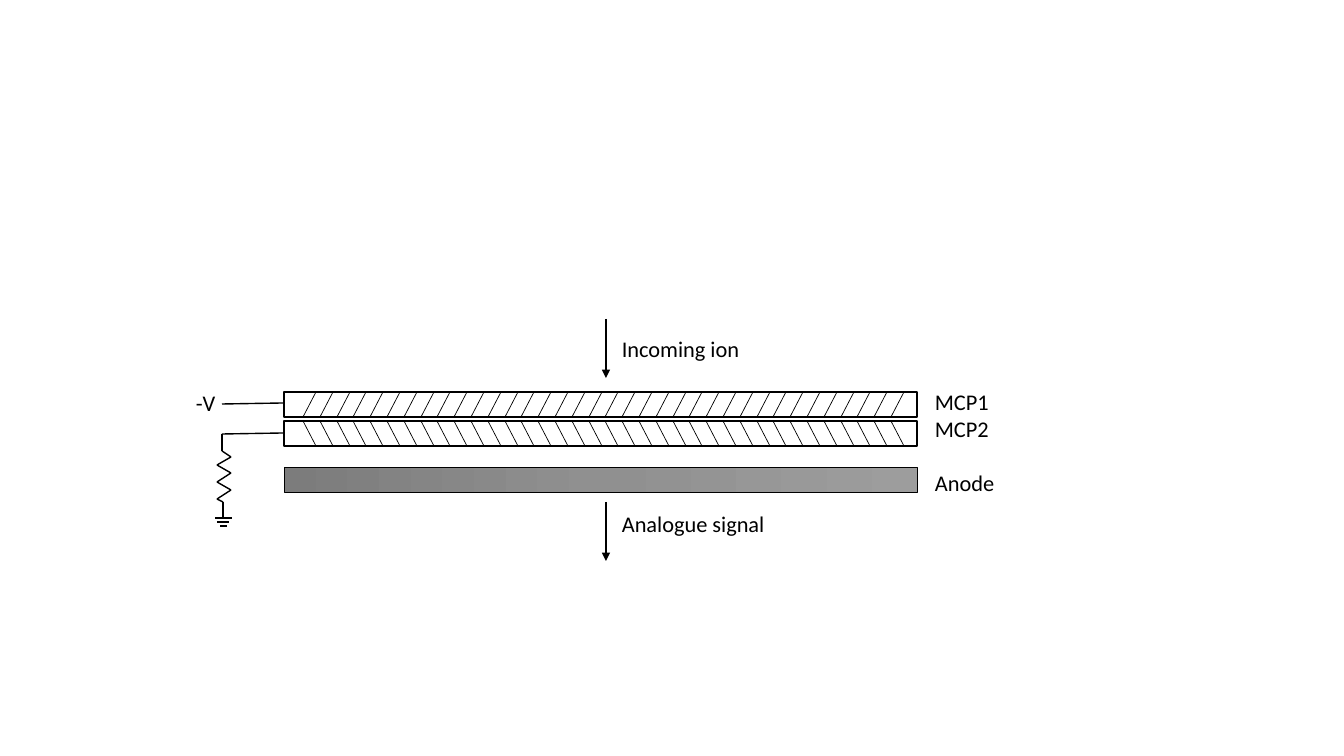
from copy import deepcopy
from itertools import pairwise
from typing import NamedTuple

from pptx import Presentation
from pptx.dml.color import RGBColor
from pptx.enum.shapes import MSO_CONNECTOR, MSO_SHAPE
from pptx.enum.text import MSO_AUTO_SIZE as AutoSize
from pptx.oxml.ns import qn
from pptx.oxml.xmlchemy import OxmlElement
from pptx.shapes.autoshape import Shape
from pptx.shapes.shapetree import _BaseGroupShapes as Shapes
from pptx.util import Emu, Pt

EMU_PER_PX = 914400 / 100.8
BLACK = RGBColor(0, 0, 0)
WHITE = RGBColor(0xFF, 0xFF, 0xFF)
ANODE_GREYS = (RGBColor(0x7C, 0x7C, 0x7C), RGBColor(0x90, 0x90, 0x90),
               RGBColor(0x9D, 0x9D, 0x9D))

# The two plates and the anode share one left edge, width and height.
PLATE_LEFT, PLATE_WIDTH, PLATE_HEIGHT = 284, 633, 25
CHANNELS, CHANNEL_START, CHANNEL_PITCH, CHANNEL_LEAN = 36, 316, 16.8, 13


class Plate(NamedTuple):
    """A microchannel plate; its channels lean to the left going down or up."""
    top: int
    leans_down: bool


class Wire(NamedTuple):
    """A straight line between two points."""
    x1: int
    y1: int
    x2: int
    y2: int


class Label(NamedTuple):
    """A text box with its lines and the space in points above each."""
    left: int
    top: int
    width: int
    height: int
    lines: tuple[str, ...]
    gaps: tuple[float, ...] = (0,)
    wrap: bool = True


PLATES = (Plate(392, True), Plate(421, False))
ANODE_TOP = 467
SIGNAL_ARROWS = (Wire(606, 319, 606, 378), Wire(606, 502, 606, 561))
RESISTOR_POINTS = ((222, 451), (231, 457), (217, 465), (231, 473),
                   (217, 482), (231, 490), (217, 499), (223, 502))
CIRCUIT = (
    Wire(284, 403, 222, 404),  # supply to first plate
    Wire(284, 433, 222, 434),  # second plate to resistor
    Wire(222, 434, 222, 451),
    Wire(223, 502, 223, 518),  # resistor to ground
    Wire(232, 518, 215, 518),  # ground bars
    Wire(229, 522, 217, 522),
    Wire(227, 526, 220, 526),
)
LABELS = (
    Label(925, 383, 81, 119, ("MCP1", "MCP2", "Anode"), (0, 0, 19.5), False),
    Label(612, 330, 202, 37, ("Incoming ion",)),
    Label(612, 505, 202, 37, ("Analogue signal",)),
    Label(186, 384, 40, 37, ("-V",)),
)


def px(length: float) -> Emu:
    """Turn a length in pixels into EMU."""
    return Emu(round(length * EMU_PER_PX))


def draw_wire(shapes: Shapes, wire: Wire, *, width: float = 1,
              arrow: bool = False) -> None:
    """Draw a black line, with a triangle at its end if asked."""
    line = shapes.add_connector(MSO_CONNECTOR.STRAIGHT, *map(px, wire))
    line.line.color.rgb = BLACK
    line.line.width = Pt(width)
    if arrow:
        head = OxmlElement("a:tailEnd")
        head.set("type", "triangle")
        line.line._get_or_add_ln().append(head)
    line._element.spPr.append(OxmlElement("a:effectLst"))


def draw_bar(shapes: Shapes, top: int, *, line_width: float) -> Shape:
    """Draw a white outlined bar of the common plate size."""
    bar = shapes.add_shape(MSO_SHAPE.RECTANGLE, px(PLATE_LEFT), px(top),
                           px(PLATE_WIDTH), px(PLATE_HEIGHT))
    bar.shadow.inherit = False
    bar.fill.solid()
    bar.fill.fore_color.rgb = WHITE
    bar.line.color.rgb = BLACK
    bar.line.width = Pt(line_width)
    return bar


def draw_plate(shapes: Shapes, plate: Plate) -> None:
    """Draw a plate grouped with its evenly spaced slanted channels."""
    group = shapes.add_group_shape().shapes
    draw_bar(group, plate.top, line_width=1)
    start, end = plate.top, plate.top + PLATE_HEIGHT
    if not plate.leans_down:
        start, end = end, start
    for index in range(CHANNELS):
        x = round(CHANNEL_START + index * CHANNEL_PITCH)
        draw_wire(group, Wire(x, start, x - CHANNEL_LEAN, end), width=0.5)


def draw_anode(shapes: Shapes) -> None:
    """Draw the anode with a grey gradient from left to right."""
    anode = draw_bar(shapes, ANODE_TOP, line_width=0.5)
    anode.fill.gradient()
    anode.fill.gradient_angle = 0
    stop_list = anode._element.spPr.find(qn("a:gradFill")).find(qn("a:gsLst"))
    stop_list.insert(1, deepcopy(stop_list[0]))
    for index, (stop, grey) in enumerate(
            zip(anode.fill.gradient_stops, ANODE_GREYS)):
        stop.color.rgb = grey
        stop.position = index / 2


def draw_resistor(shapes: Shapes) -> None:
    """Draw the zigzag resistor as one group."""
    group = shapes.add_group_shape().shapes
    for start, end in pairwise(RESISTOR_POINTS):
        draw_wire(group, Wire(*start, *end))


def draw_label(shapes: Shapes, label: Label, *, size: float = 16,
               font: str = "Calibri", color: RGBColor = BLACK) -> None:
    """Write the lines of a label as paragraphs of one text box."""
    box = shapes.add_textbox(px(label.left), px(label.top),
                             px(label.width), px(label.height))
    frame = box.text_frame
    frame.word_wrap = label.wrap
    frame.auto_size = AutoSize.SHAPE_TO_FIT_TEXT
    frame.text = "\n".join(label.lines)
    for paragraph, gap in zip(frame.paragraphs, label.gaps):
        paragraph.space_before = Pt(gap)
        for run in paragraph.runs:
            run.font.size = Pt(size)
            run.font.name = font
            run.font.color.rgb = color


def main() -> None:
    """Build the detector diagram and save it."""
    deck = Presentation()
    deck.slide_width, deck.slide_height = px(1344), px(756)
    shapes = deck.slides.add_slide(deck.slide_layouts.get_by_name("Blank")).shapes
    for plate in PLATES:
        draw_plate(shapes, plate)
    draw_anode(shapes)
    for arrow in SIGNAL_ARROWS:
        draw_wire(shapes, arrow, width=1.5, arrow=True)
    for wire in CIRCUIT:
        draw_wire(shapes, wire)
    draw_resistor(shapes)
    for label in LABELS:
        draw_label(shapes, label)
    deck.save("out.pptx")


main()
